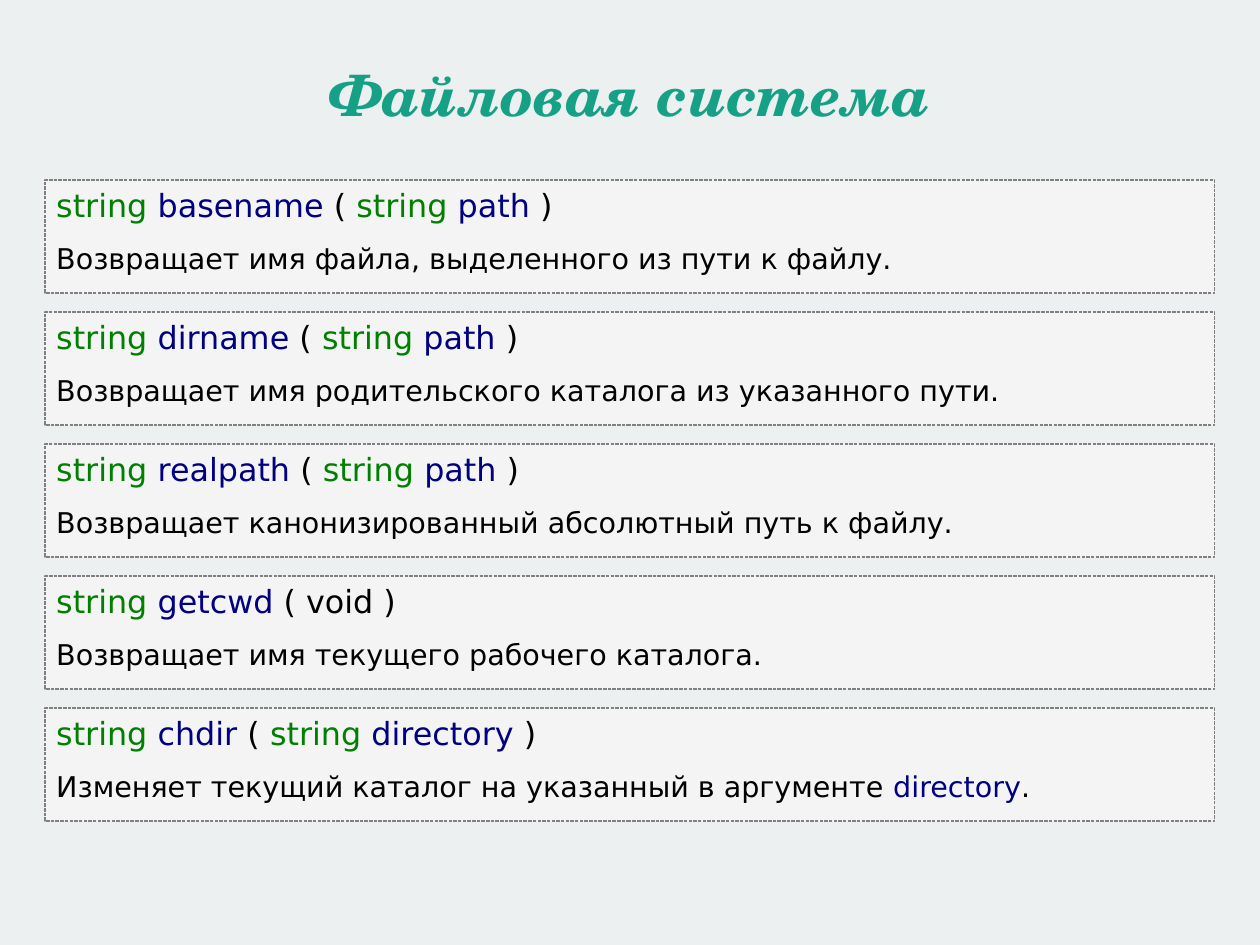
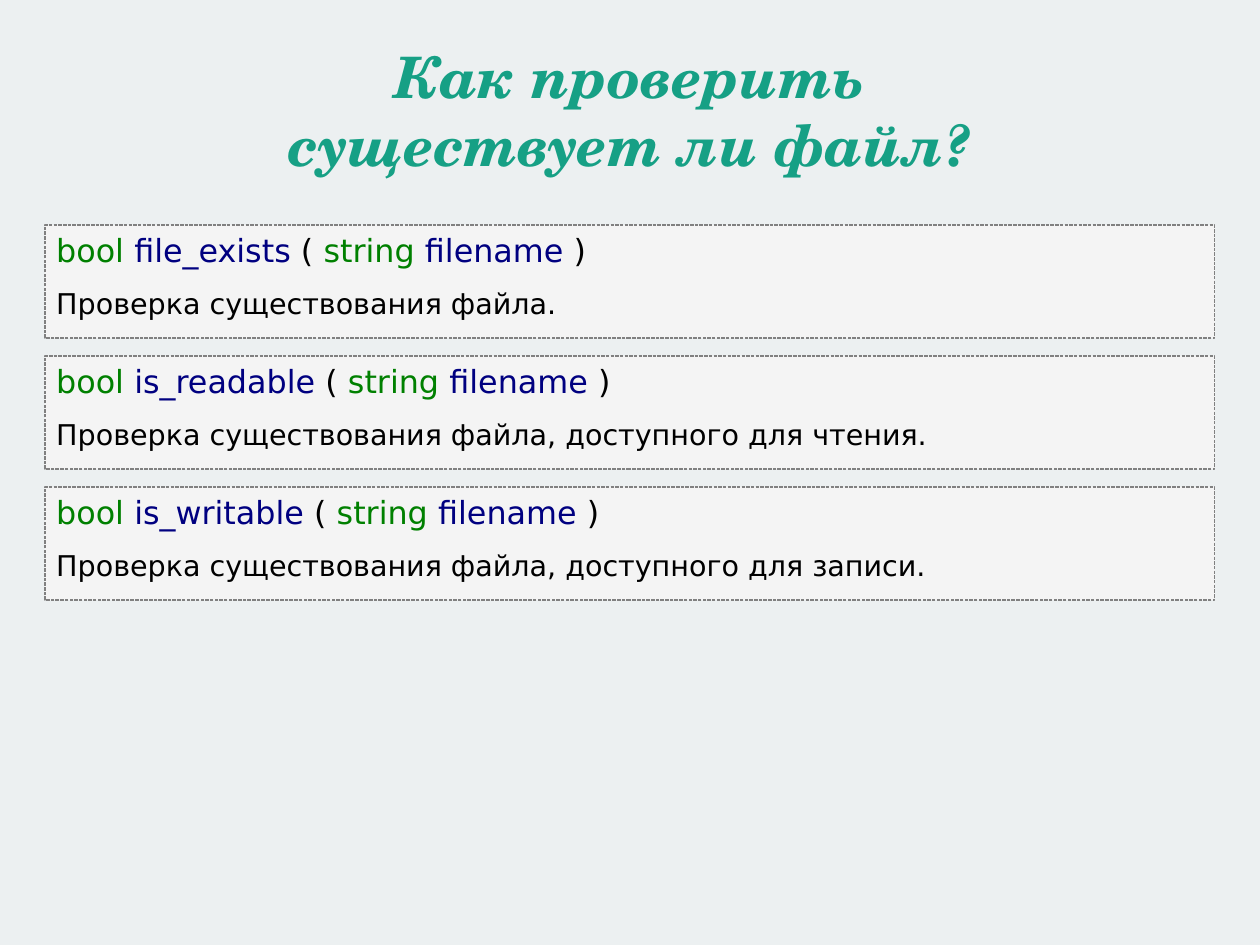
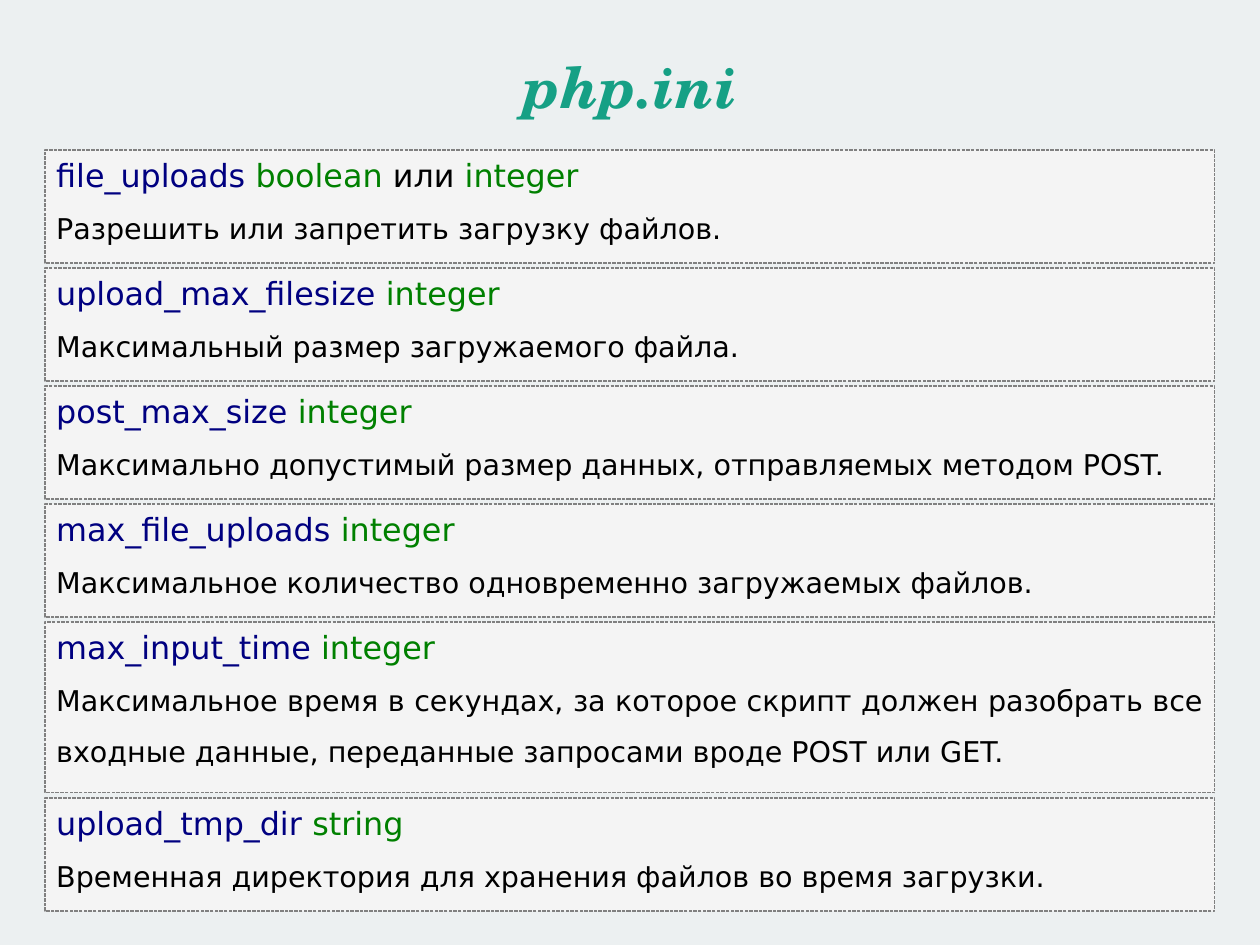
from dataclasses import dataclass

from pptx import Presentation
from pptx.dml.color import RGBColor
from pptx.enum.dml import MSO_LINE
from pptx.enum.shapes import MSO_SHAPE
from pptx.enum.text import MSO_ANCHOR, PP_ALIGN
from pptx.util import Pt

RECTANGLE = MSO_SHAPE.RECTANGLE
SHORT_DASH = MSO_LINE.SQUARE_DOT
TOP, MIDDLE = MSO_ANCHOR.TOP, MSO_ANCHOR.MIDDLE
LEFT, CENTER, JUSTIFY = PP_ALIGN.LEFT, PP_ALIGN.CENTER, PP_ALIGN.JUSTIFY
PX = 8000  # EMU in one px


@dataclass(frozen=True)
class Theme:
    background: RGBColor = RGBColor.from_string("ECF0F1")
    title: RGBColor = RGBColor.from_string("16A085")
    card: RGBColor = RGBColor.from_string("F4F4F4")
    border: RGBColor = RGBColor.from_string("808080")
    keyword: RGBColor = RGBColor.from_string("008000")
    name: RGBColor = RGBColor.from_string("000080")
    text: RGBColor = RGBColor.from_string("000000")
    title_font: str = "TeX Gyre Schola"
    body_font: str = "DejaVu Sans"
    title_size: int = 36
    signature_size: int = 20
    description_size: int = 18


theme = Theme()

# Shared card geometry, px
MARGIN, CONTENT_WIDTH = 45, 1170
CARD_HEIGHT, EXTRA_LINE = 113, 58


def signature(returns, name, argument_type, argument=""):
    """Coloured parts of a function signature."""
    parts = [(f"{returns} ", theme.keyword), (name, theme.name), (" ( ", theme.text)]
    if argument:
        parts += [(argument_type, theme.keyword), (f" {argument}", theme.name)]
    else:
        parts.append((argument_type, theme.text))
    return parts + [(" )", theme.text)]


def write_runs(paragraph, parts, size):
    for text, colour in parts:
        run = paragraph.add_run()
        run.text = text
        run.font.name = theme.body_font
        run.font.size = Pt(size)
        run.font.color.rgb = colour


# Content: each card is a heading, a description and its number of lines
file_system = [
    (signature("string", "basename", "string", "path"),
     [("Возвращает имя файла, выделенного из пути к файлу.", theme.text)], 1),
    (signature("string", "dirname", "string", "path"),
     [("Возвращает имя родительского каталога из указанного пути.", theme.text)], 1),
    (signature("string", "realpath", "string", "path"),
     [("Возвращает канонизированный абсолютный путь к файлу.", theme.text)], 1),
    (signature("string", "getcwd", "void"),
     [("Возвращает имя текущего рабочего каталога.", theme.text)], 1),
    (signature("string", "chdir", "string", "directory"),
     [("Изменяет текущий каталог на указанный в аргументе ", theme.text),
      ("directory", theme.name), (".", theme.text)], 1),
]

file_checks = [
    (signature("bool", name, "string", "filename"), [(description, theme.text)], 1)
    for name, description in [
        ("file_exists", "Проверка существования файла."),
        ("is_readable", "Проверка существования файла, доступного для чтения."),
        ("is_writable", "Проверка существования файла, доступного для записи."),
    ]
]

settings = [
    ([(f"{name} ", theme.name), *value_type], [(description, theme.text)], lines)
    for name, value_type, description, lines in [
        ("file_uploads",
         [("boolean ", theme.keyword), ("или ", theme.text), ("integer", theme.keyword)],
         "Разрешить или запретить загрузку файлов.", 1),
        ("upload_max_filesize", [("integer", theme.keyword)],
         "Максимальный размер загружаемого файла.", 1),
        ("post_max_size", [("integer", theme.keyword)],
         "Максимально допустимый размер данных, отправляемых методом POST.", 1),
        ("max_file_uploads", [("integer", theme.keyword)],
         "Максимальное количество одновременно загружаемых файлов.", 1),
        ("max_input_time", [("integer", theme.keyword)],
         "Максимальное время в секундах, за которое скрипт должен разобрать все "
         "входные данные, переданные запросами вроде POST или GET.", 2),
        ("upload_tmp_dir", [("string", theme.keyword)],
         "Временная директория для хранения файлов во время загрузки.", 1),
    ]
]

# Title, title top and height, first card top, gap, description alignment, cards
pages = [
    ("Файловая система", 45, 97, 180, 19, LEFT, file_system),
    ("Как проверить\vсуществует ли файл?", 32, 155, 225, 18, LEFT, file_checks),
    ("php.ini", 37, 97, 150, 5, JUSTIFY, settings),
]

presentation = Presentation()
presentation.slide_width = 1260 * PX
presentation.slide_height = 945 * PX
blank_layout = presentation.slide_layouts[6]

for title, title_top, title_height, card_top, gap, alignment, cards in pages:
    slide = presentation.slides.add_slide(blank_layout)
    slide.background.fill.solid()
    slide.background.fill.fore_color.rgb = theme.background

    # Title
    title_box = slide.shapes.add_textbox(
        MARGIN * PX, title_top * PX, CONTENT_WIDTH * PX, title_height * PX)
    text_frame = title_box.text_frame
    text_frame.word_wrap = True
    text_frame.vertical_anchor = MIDDLE
    text_frame.margin_left = text_frame.margin_right = 0
    text_frame.margin_top = text_frame.margin_bottom = 0
    paragraph = text_frame.paragraphs[0]
    paragraph.text = title
    paragraph.alignment = CENTER
    for run in paragraph.runs:
        run.font.name = theme.title_font
        run.font.size = Pt(theme.title_size)
        run.font.bold = run.font.italic = True
        run.font.color.rgb = theme.title

    # Stack of cards
    for heading, description, lines in cards:
        height = CARD_HEIGHT + (lines - 1) * EXTRA_LINE
        card = slide.shapes.add_shape(
            RECTANGLE, MARGIN * PX, card_top * PX, CONTENT_WIDTH * PX, height * PX)
        card.shadow.inherit = False
        card.fill.solid()
        card.fill.fore_color.rgb = theme.card
        card.line.color.rgb = theme.border
        card.line.width = Pt(0)
        card.line.dash_style = SHORT_DASH

        text_frame = card.text_frame
        text_frame.word_wrap = True
        text_frame.vertical_anchor = TOP
        paragraph = text_frame.paragraphs[0]
        paragraph.alignment = LEFT
        write_runs(paragraph, heading, theme.signature_size)
        paragraph = text_frame.add_paragraph()
        paragraph.alignment = alignment
        paragraph.line_spacing = 1.5
        write_runs(paragraph, description, theme.description_size)
        card_top += height + gap

presentation.save("out.pptx")
